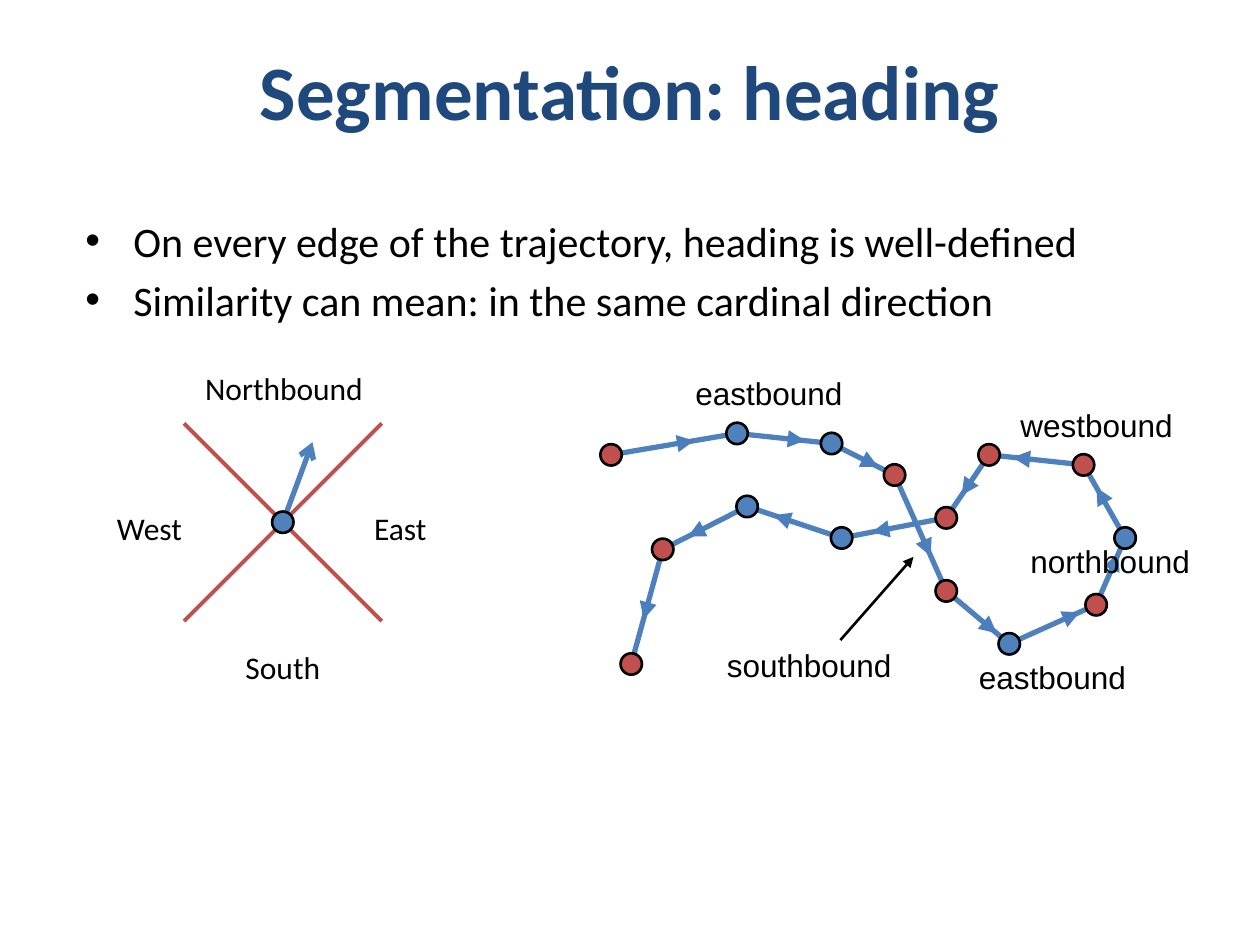
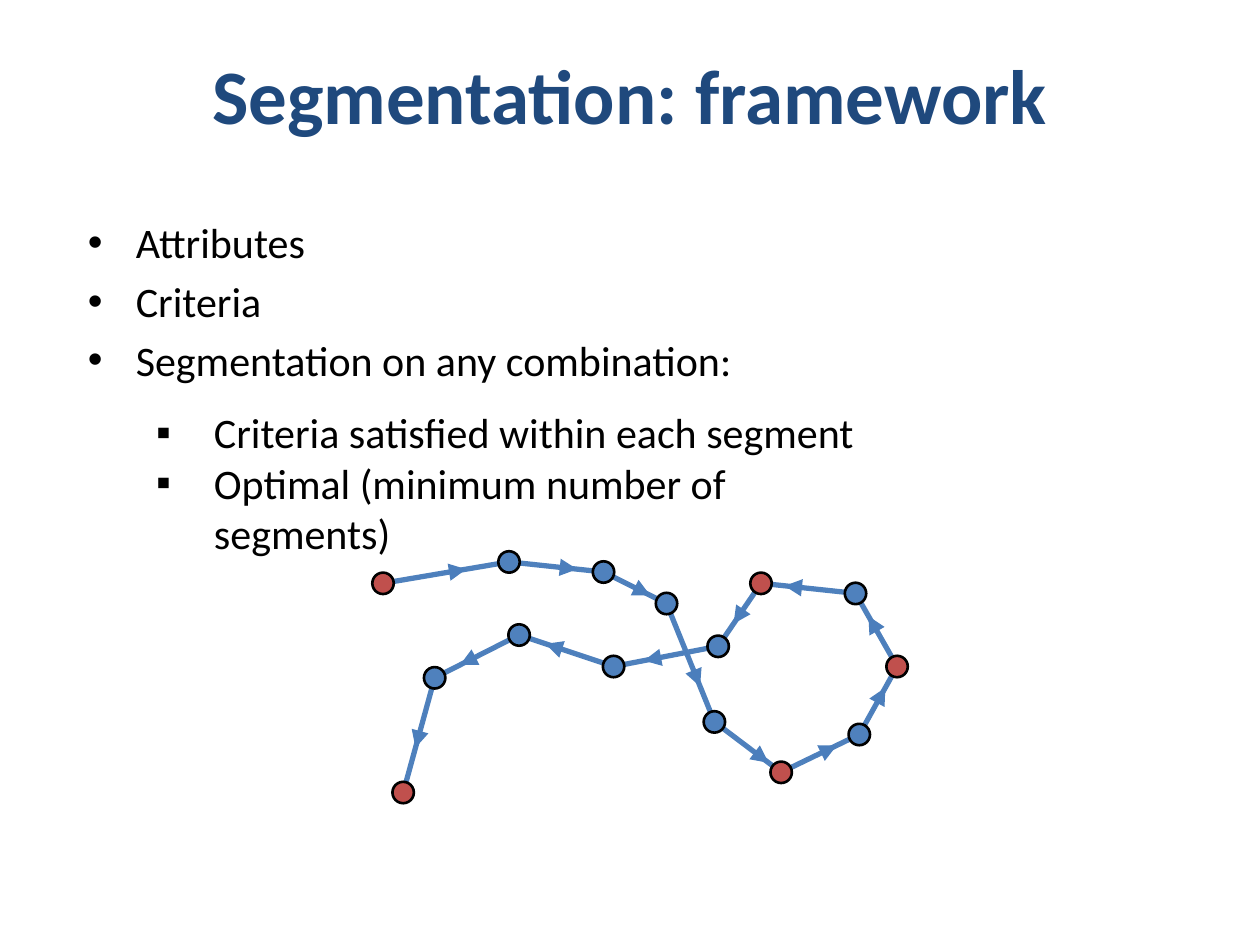
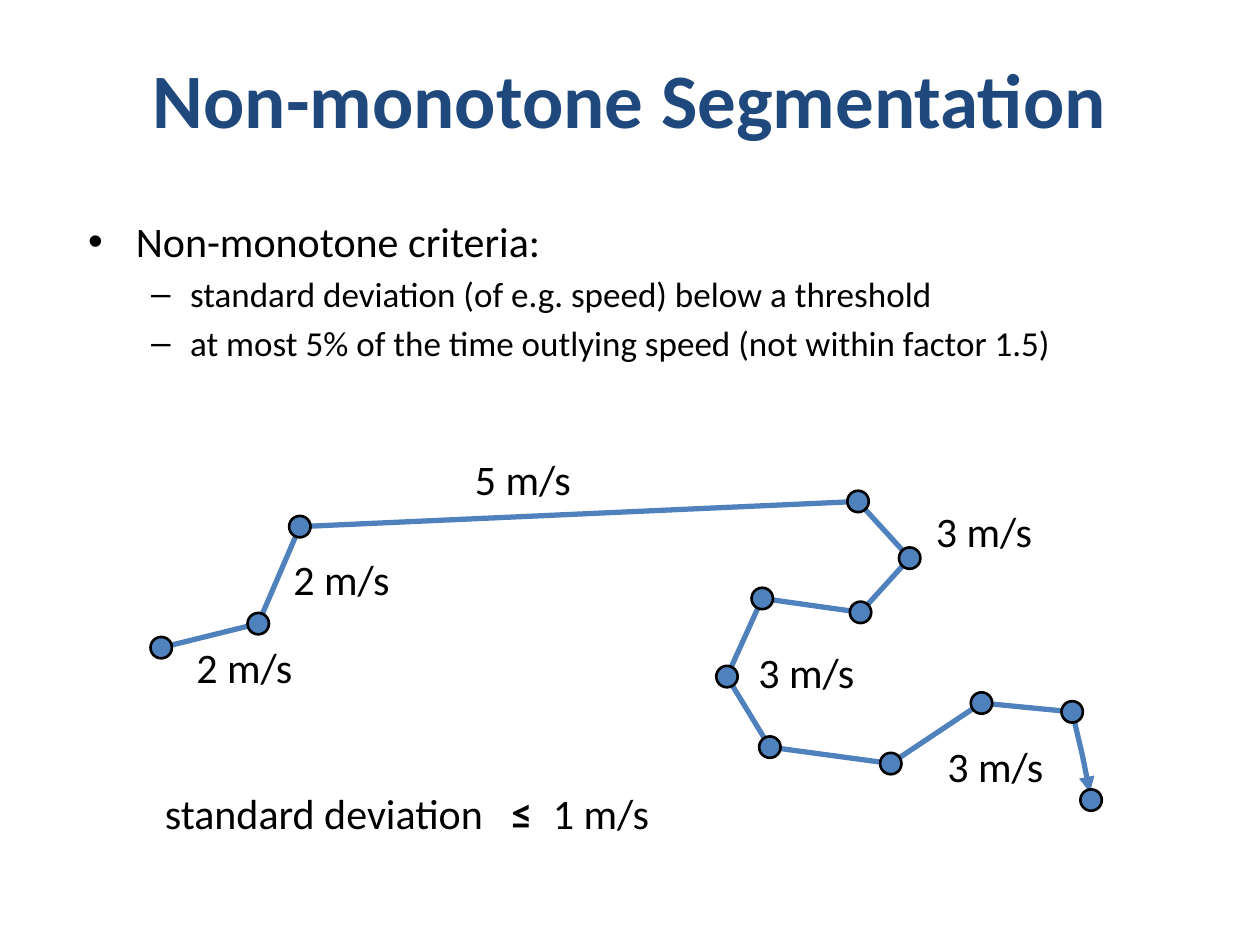
from lxml.etree import SubElement
from pptx import Presentation
from pptx.dml.color import RGBColor
from pptx.enum.shapes import MSO_CONNECTOR, MSO_SHAPE
from pptx.enum.text import MSO_ANCHOR, PP_ALIGN
from pptx.oxml.ns import qn
from pptx.util import Inches, Pt

NAVY = RGBColor(0x1F, 0x49, 0x7D)
BLUE = RGBColor(0x4F, 0x81, 0xBD)
HEAD_BLUE = RGBColor(0x4B, 0x7E, 0xBC)
RED = RGBColor(0xC0, 0x50, 0x4D)
BLACK = RGBColor(0, 0, 0)
FONT = "Calibri"
DOT = 0.17

# Bullet styles: character, left margin, hanging indent, size, space before
TOP_BULLET = ("•", 0.38, 0.38, 24, 4.8)
DASH_BULLET = ("–", 0.81, 0.31, 20, 4)
SQUARE_BULLET = ("▪", 0.46, 0.46, 24, 0)

# Trajectory nodes in travel order: x, y, and how far along the next edge its arrow ends
LOOP_ROUTE = [
    (0, 0.17, 0.66), (1, 0, 0.72), (1.75, 0.08, 0.74), (2.25, 0.33, 0.7),
    (2.66, 1.25, 0.8), (3.16, 1.67, 0.81), (3.85, 1.36, 0.77),
    (4.08, 0.83, 0.69), (3.75, 0.25, 0.75), (3, 0.17, 0.64),
    (2.66, 0.67, 0.71), (1.83, 0.83, 0.72), (1.08, 0.58, 0.7),
    (0.41, 0.92, 0.61), (0.16, 1.83, None),
]

# Speed trajectory nodes
SPEED_ROUTE = [
    (0, 1.16), (0.77, 0.97), (1.1, 0.2), (5.53, 0), (5.94, 0.45),
    (5.55, 0.88), (4.77, 0.77), (4.49, 1.39), (4.83, 1.95), (5.79, 2.08),
    (6.51, 1.6), (7.23, 1.67), (7.38, 2.37),
]


# Basic parts
def add_text_box(s, x, y, w, h, wrap=True):
    tf = s.shapes.add_textbox(Inches(x), Inches(y), Inches(w), Inches(h)).text_frame
    tf.word_wrap = wrap
    return tf


def add_run(p, text, size, color=BLACK, bold=False, font=FONT):
    r = p.add_run()
    r.text = text
    r.font.name = font
    r.font.size = Pt(size)
    r.font.bold = bold
    r.font.color.rgb = color


def add_label(s, text, x, y, w, size=18, font=FONT):
    tf = add_text_box(s, x, y, w, 0.5 if size > 20 else 0.4, wrap=False)
    add_run(tf.paragraphs[0], text, size, font=font)


def add_arrowhead(shape, kind, size="med"):
    ln = shape.line._get_or_add_ln()
    SubElement(ln, qn("a:tailEnd"), type=kind, w=size, len=size)


def add_line(s, start, end, color, width, head=None, head_size="med"):
    line = s.shapes.add_connector(
        MSO_CONNECTOR.STRAIGHT, *[Inches(v) for v in (*start, *end)])
    line.line.color.rgb = color
    line.line.width = Pt(width)
    if head:
        add_arrowhead(line, head, head_size)
    SubElement(line._element.spPr, qn("a:effectLst"))


def add_dot(s, x, y, color=BLUE):
    dot = s.shapes.add_shape(MSO_SHAPE.OVAL, Inches(x - DOT / 2), Inches(y - DOT / 2),
                             Inches(DOT), Inches(DOT))
    dot.shadow.inherit = False
    dot.fill.solid()
    dot.fill.fore_color.rgb = color
    dot.line.color.rgb = BLACK
    dot.line.width = Pt(1.5)


def add_path(s, points):
    corners = [(Inches(x), Inches(y)) for x, y in points]
    builder = s.shapes.build_freeform(*corners[0])
    builder.add_line_segments(corners[1:], close=False)
    path = builder.convert_to_shape()
    path.shadow.inherit = False
    path.fill.background()
    path.line.color.rgb = BLUE
    path.line.width = Pt(3)
    return path


# Shared regions
def add_titled_slide(prs, title, y):
    s = prs.slides.add_slide(prs.slide_layouts[6])
    tf = add_text_box(s, 0.5, y, 9, 0.83)
    tf.vertical_anchor = MSO_ANCHOR.MIDDLE
    p = tf.paragraphs[0]
    p.alignment = PP_ALIGN.CENTER
    add_run(p, title, 44, NAVY, bold=True)
    return s


def add_bullets(s, x, y, w, h, items):
    tf = add_text_box(s, x, y, w, h)
    for i, (text, (char, margin, hang, size, before)) in enumerate(items):
        p = tf.paragraphs[0] if i == 0 else tf.add_paragraph()
        pPr = p._p.get_or_add_pPr()
        pPr.set("marL", str(Inches(margin)))
        pPr.set("indent", str(-Inches(hang)))
        if i:
            p.space_before = Pt(before)
        SubElement(pPr, qn("a:buFont"), typeface="Arial")
        SubElement(pPr, qn("a:buChar"), char=char)
        add_run(p, text, size)


def add_loop_trajectory(s, x, y, route, red_nodes):
    nodes = [(x + dx, y + dy) for dx, dy, _ in route]
    add_path(s, nodes)
    for i, node in enumerate(nodes):
        add_dot(s, *node, RED if i in red_nodes else BLUE)
    # Direction arrows along the edges
    for (ax, ay), (bx, by), (_, _, tip) in zip(nodes, nodes[1:], route):
        start, end = [(ax + t * (bx - ax), ay + t * (by - ay)) for t in (tip - 0.4, tip)]
        add_line(s, start, end, HEAD_BLUE, 0.75, "triangle", "lg")


# Regions of single slides
def add_compass(s, x, y, side):
    middle = (x + side / 2, y + side / 2)
    add_line(s, (x, y), (x + side, y + side), RED, 2.25)
    add_line(s, (x, y + side), (x + side, y), RED, 2.25)
    add_line(s, middle, (x + 1.02, y + 0.15), BLUE, 3, "arrow")
    add_dot(s, *middle)
    for text, dx, dy, w in [("Northbound", 0.07, -0.48, 1.47), ("East", 1.41, 0.63, 0.62),
                            ("West", -0.63, 0.63, 0.72), ("South", 0.39, 1.73, 0.8)]:
        add_label(s, text, x + dx, y + dy, w)


def add_heading_labels(s, x, y):
    for text, dx, dy, w in [("eastbound", 0.57, -0.52, 1.38), ("eastbound", 2.82, 1.73, 1.38),
                            ("northbound", 3.23, 0.81, 1.48), ("westbound", 3.15, -0.27, 1.42),
                            ("southbound", 0.82, 1.64, 1.52)]:
        add_label(s, text, x + dx, y + dy, w, font="Arial")
    add_line(s, (x + 1.82, y + 1.64), (x + 2.4, y + 0.98), BLACK, 1.5, "triangle")


def add_speed_trajectory(s, x, y):
    nodes = [(x + dx, y + dy) for dx, dy in SPEED_ROUTE]
    # The last edge bends slightly and stops at the rim of the final dot
    path = add_path(s, nodes[:-1] + [(x + 7.31, y + 2.01), (x + 7.37, y + 2.31)])
    add_arrowhead(path, "triangle")
    for node in nodes:
        add_dot(s, *node)
    for speed, dx, dy in [(2, 0.18, 1.06), (2, 0.95, 0.36), (5, 2.39, -0.43),
                          (3, 6.05, -0.02), (3, 4.64, 1.1), (3, 6.14, 1.85)]:
        add_label(s, f"{speed} m/s", x + dx, y + dy, 0.97, size=24)


def add_deviation_rule(s, x, y):
    p = add_text_box(s, x, y, 4.08, 0.5).paragraphs[0]
    tabs = SubElement(p._p.get_or_add_pPr(), qn("a:tabLst"))
    for stop in (2.75, 3.08):
        SubElement(tabs, qn("a:tab"), pos=str(Inches(stop)), algn="l")
    add_run(p, "standard deviation", 24)
    add_run(p, "\t≤", 24, bold=True)
    add_run(p, "\t1 m/s", 24)


# Slides
def build_heading_slide(prs):
    s = add_titled_slide(prs, "Segmentation: heading", 0.3)
    add_bullets(s, 0.58, 1.66, 9, 1.34, [
        ("On every edge of the trajectory, heading is well-defined", TOP_BULLET),
        ("Similarity can mean: in the same cardinal direction", TOP_BULLET)])
    add_compass(s, 1.46, 3.36, 1.57)
    add_loop_trajectory(s, 4.85, 3.44, LOOP_ROUTE, {0, 3, 4, 6, 8, 9, 10, 13, 14})
    add_heading_labels(s, 4.85, 3.44)


def build_framework_slide(prs):
    s = add_titled_slide(prs, "Segmentation: framework", 0.33)
    add_bullets(s, 0.6, 1.67, 9.07, 1.65, [
        (text, TOP_BULLET)
        for text in ("Attributes", "Criteria", "Segmentation on any combination:")])
    route = list(LOOP_ROUTE)
    route[4:7] = [(2.63, 1.27, 0.81), (3.16, 1.67, 0.71), (3.78, 1.37, 0.69)]
    add_loop_trajectory(s, 3.04, 4.46, route, {0, 5, 7, 9, 14})
    add_bullets(s, 1.14, 3.18, 6, 1.3, [
        ("Criteria satisfied within each segment", SQUARE_BULLET),
        ("Optimal (minimum number of segments)", SQUARE_BULLET)])


def build_non_monotone_slide(prs):
    s = add_titled_slide(prs, "Non-monotone Segmentation", 0.36)
    add_bullets(s, 0.6, 1.66, 8.99, 1.59, [
        ("Non-monotone criteria:", TOP_BULLET),
        ("standard deviation (of e.g. speed) below a threshold", DASH_BULLET),
        ("at most 5% of the time outlying speed (not within factor 1.5)", DASH_BULLET)])
    add_speed_trajectory(s, 1.28, 3.98)
    add_deviation_rule(s, 1.21, 6.2)


def main():
    prs = Presentation()
    prs.slide_width = Inches(10)
    prs.slide_height = Inches(7.5)
    build_heading_slide(prs)
    build_framework_slide(prs)
    build_non_monotone_slide(prs)
    prs.save("out.pptx")


if __name__ == "__main__":
    main()
